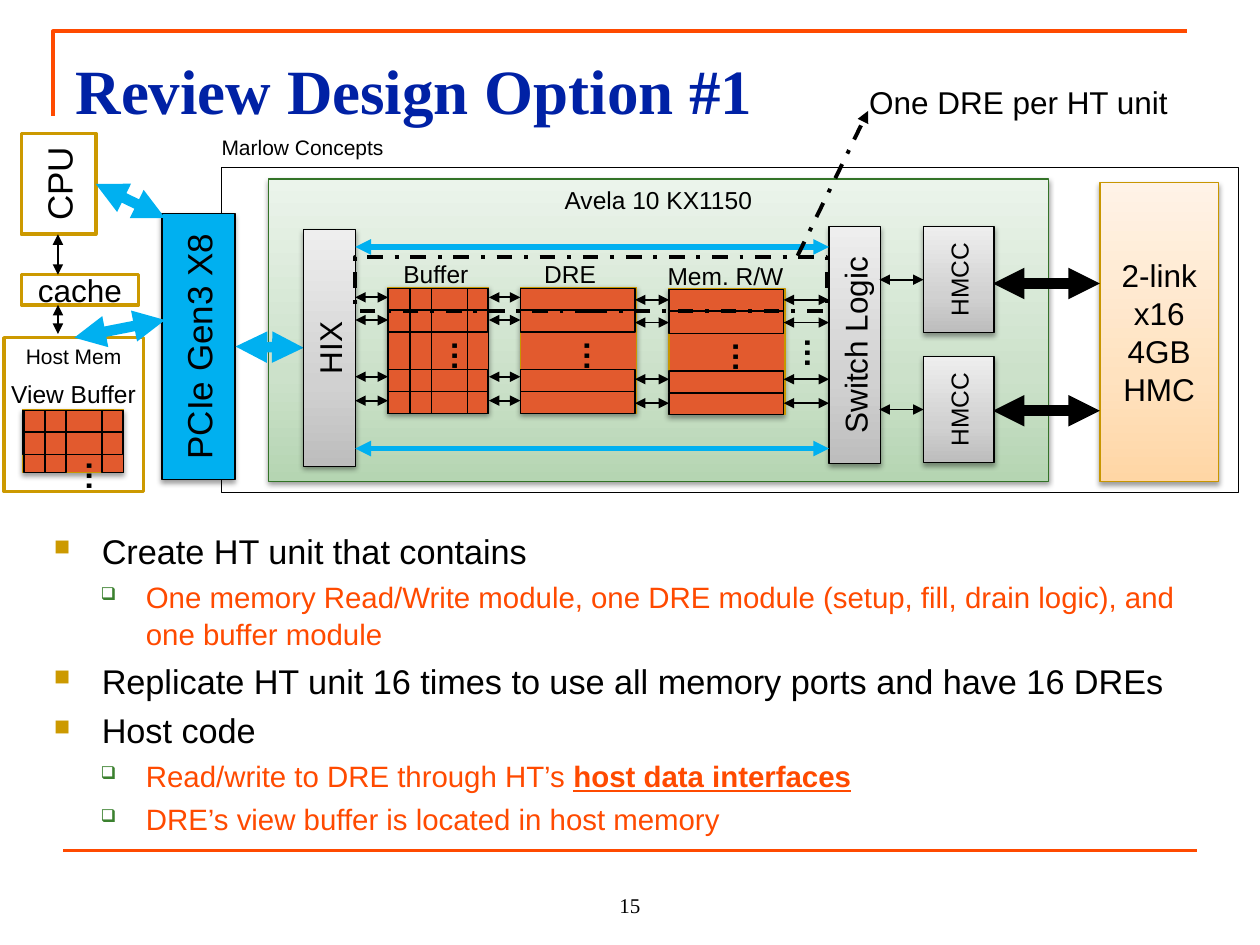
from dataclasses import dataclass

from lxml import etree
from pptx import Presentation
from pptx.dml.color import RGBColor
from pptx.enum.dml import MSO_LINE
from pptx.enum.shapes import MSO_CONNECTOR, MSO_SHAPE
from pptx.enum.text import MSO_ANCHOR, PP_ALIGN
from pptx.oxml.ns import qn
from pptx.util import Inches, Pt

RECTANGLE = MSO_SHAPE.RECTANGLE
STRAIGHT = MSO_CONNECTOR.STRAIGHT
DASH_DOT = MSO_LINE.DASH_DOT
TOP, MIDDLE, BOTTOM = MSO_ANCHOR.TOP, MSO_ANCHOR.MIDDLE, MSO_ANCHOR.BOTTOM
LEFT, CENTER = PP_ALIGN.LEFT, PP_ALIGN.CENTER
TITLE_ONLY = 5
COLUMNS, ROWS = 100, 75


@dataclass(frozen=True)
class Theme:
    """Colours, fonts and type sizes of the deck."""
    black: str = "000000"
    white: str = "FFFFFF"
    accent: str = "FF4A00"
    title: str = "0021A5"
    blue: str = "00B0F0"
    cell: str = "E25A2E"
    gold: str = "C89600"
    host: str = "CC9900"
    forest: str = "337327"
    bullet: str = "3B812F"
    green: tuple = ("B5D5B2", "CCE1CA", "EBF4EB")
    orange: tuple = ("FFD6A5", "FFE2BF", "FFF3E7")
    gray: tuple = ("BDBDBD", "D1D1D1", "EEEEEE")
    sans: str = "Arial"
    serif: str = "Times New Roman"
    heading: float = 36
    body: float = 19.6
    detail: float = 16.8
    big: float = 20
    medium: float = 18
    small: float = 14
    tiny: float = 12


class Canvas:
    """Draws elements on one slide in grid columns and rows."""

    def __init__(self, presentation, theme):
        """Open a title-only slide."""
        self.theme = theme
        self.slide = presentation.slides.add_slide(presentation.slide_layouts[TITLE_ONLY])
        self.shapes = self.slide.shapes
        self.column = presentation.slide_width / COLUMNS
        self.row = presentation.slide_height / ROWS

    def place(self, *lengths):
        """Turn alternating columns and rows into slide units."""
        return [round(length * (self.row if index % 2 else self.column))
                for index, length in enumerate(lengths)]

    def style_line(self, line, color, width, dash=None):
        """Set the colour, width and dash of a line."""
        line.color.rgb = RGBColor.from_string(color)
        line.width = Pt(width)
        if dash:
            line.dash_style = dash

    def style_font(self, font, size, color, name, bold=False):
        """Set the look of a run."""
        font.size, font.name, font.bold = Pt(size), name, bold
        font.color.rgb = RGBColor.from_string(color)

    def caption(self, shape, text, size, align=CENTER, anchor=MIDDLE, vertical=None, bold=False, name=None):
        """Put one formatted paragraph into a shape."""
        frame = shape.text_frame
        frame.text, frame.word_wrap, frame.vertical_anchor = text, True, anchor
        if vertical:
            frame._txBody.bodyPr.set("vert", vertical)
        frame.paragraphs[0].alignment = align
        self.style_font(frame.paragraphs[0].runs[0].font, size, self.theme.black, name or self.theme.sans, bold)

    def title(self, text, box):
        """Move and format the title placeholder."""
        shape = self.shapes.title
        shape.left, shape.top, shape.width, shape.height = self.place(*box)
        self.caption(shape, text, self.theme.heading, LEFT, TOP, None, True, self.theme.serif)
        shape.text_frame.margin_top = self.place(0, 1.1)[1]
        shape.text_frame.paragraphs[0].runs[0].font.color.rgb = RGBColor.from_string(self.theme.title)

    def label(self, text, size, box, align=LEFT, anchor=TOP, **style):
        """Add a text box."""
        self.caption(self.shapes.add_textbox(*self.place(*box)), text, size, align, anchor, **style)

    def box(self, box, fill=None, color=None, width=0.75, shadow=False, dash=None):
        """Add a rectangle with a plain, graded or empty fill."""
        shape = self.shapes.add_shape(RECTANGLE, *self.place(*box))
        shape.shadow.inherit = False
        properties = shape._element.spPr
        if fill is None:
            shape.fill.background()
        elif isinstance(fill, str):
            shape.fill.solid()
            shape.fill.fore_color.rgb = RGBColor.from_string(fill)
        else:
            shape.fill.gradient()
            shape.fill.gradient_angle = 90
            stops = properties.find(qn("a:gradFill")).find(qn("a:gsLst"))
            for stop in list(stops):
                stops.remove(stop)
            for position, stop_color in zip((0, 35000, 100000), fill):
                stop = etree.SubElement(stops, qn("a:gs"), pos=str(position))
                etree.SubElement(stop, qn("a:srgbClr"), val=stop_color)
        self.style_line(shape.line, color or self.theme.black, width, dash)
        if shadow:
            outer = etree.SubElement(properties.find(qn("a:effectLst")), qn("a:outerShdw"),
                                     blurRad=str(Pt(3.1)), dist=str(Pt(1.6)), dir="5400000", rotWithShape="0")
            tint = etree.SubElement(outer, qn("a:srgbClr"), val=self.theme.black)
            etree.SubElement(tint, qn("a:alpha"), val="38000")
        return shape

    def arrow(self, points, color=None, width=1, ends=("headEnd", "tailEnd"), dash=None):
        """Add a straight line with arrowheads at the given ends."""
        connector = self.shapes.add_connector(STRAIGHT, *self.place(*points))
        self.style_line(connector.line, color or self.theme.black, width, dash)
        properties = connector._element.spPr
        for end in ends:
            etree.SubElement(properties.find(qn("a:ln")), qn(f"a:{end}"), type="triangle")
        etree.SubElement(properties, qn("a:effectLst"))

    def corner(self, points):
        """Add an open outline through the points."""
        start, *others = [self.place(*point) for point in points]
        builder = self.shapes.build_freeform(*start)
        builder.add_line_segments(others, close=False)
        shape = builder.convert_to_shape()
        shape.shadow.inherit = False
        shape.fill.background()
        self.style_line(shape.line, self.theme.accent, 2.25)

    def bank(self, left, top, width, height, rows, columns=(), dots=3.25):
        """Add a memory bank with ruled rows, columns and an ellipsis."""
        self.box((left, top, width, height), self.theme.cell, self.theme.gold, shadow=True)
        for offset in rows:
            self.box((left, top + offset, width - 0.1, 1.7))
        for offset in columns:
            self.box((left + offset, top + 0.1, 1.7, height - 0.1))
        self.ellipsis(left + 4.5, top + dots)

    def ellipsis(self, left, top):
        """Add a vertical ellipsis."""
        self.label("…", self.theme.medium, (left, top, 3.6, 4), vertical="vert", bold=True)

    def bullets(self, box, items):
        """Add a two-level list whose items may end in emphasis."""
        theme = self.theme
        levels = ((theme.body, theme.black, "■", theme.host, 65000, 0.38, 0.38, 3.5),
                  (theme.detail, theme.accent, "❑", theme.bullet, 60000, 0.73, 0.36, 3))
        frame = self.shapes.add_textbox(*self.place(*box)).text_frame
        frame.word_wrap = True
        for index, (level, text, emphasis) in enumerate(items):
            size, color, mark, mark_color, mark_size, margin, hang, space = levels[level]
            paragraph = frame.add_paragraph() if index else frame.paragraphs[0]
            paragraph.text, paragraph.level, paragraph.line_spacing = text, level, 1.06
            paragraph.space_before = Pt(space if index else 0)
            properties = paragraph._p.get_or_add_pPr()
            properties.set("marL", str(Inches(margin)))
            properties.set("indent", str(-Inches(hang)))
            tint = etree.SubElement(properties, qn("a:buClr"))
            etree.SubElement(tint, qn("a:srgbClr"), val=mark_color)
            etree.SubElement(properties, qn("a:buSzPct"), val=str(mark_size))
            etree.SubElement(properties, qn("a:buChar"), char=mark)
            if emphasis:
                paragraph.add_run().text = emphasis
            for run in paragraph.runs:
                strong = run.text == emphasis
                self.style_font(run.font, size, color, theme.sans, strong)
                run.font.underline = strong


def draw_board(canvas, theme):
    """Draw the accelerator board and its data paths."""
    canvas.box((17.6, 13.3, 80.7, 25.8))
    link = canvas.box((5.2, 24.6, 21.1, 5.8), theme.blue, shadow=True)
    link.rotation = 270
    canvas.caption(link, "PCIe Gen3 X8", theme.big)
    chip = canvas.box((21.3, 14.2, 61.9, 24), theme.green, theme.forest, shadow=True)
    canvas.caption(chip, "Avela 10 KX1150", theme.small, anchor=TOP)
    canvas.arrow((18.7, 27.5, 24.1, 27.6), theme.blue, 6)
    memory = canvas.box((87.3, 14.5, 9.4, 23.7), theme.orange, theme.gold, shadow=True)
    canvas.caption(memory, "2-link x16 4GB HMC", theme.medium)
    for y in (22.5, 32.6):
        canvas.arrow((78.8, y, 87.3, y), width=6)
    for text, size, box in (("HIX", theme.medium, (24.1, 18.2, 4.1, 18.8)),
                            ("HMCC", theme.small, (73.3, 18, 5.6, 8.4)),
                            ("HMCC", theme.small, (73.3, 28.3, 5.6, 8.4)),
                            ("Switch Logic", theme.medium, (65.8, 18, 4.1, 18.8))):
        canvas.caption(canvas.box(box, theme.gray, shadow=True), text, size, vertical="vert270")
    for y in (19.6, 35.6):
        canvas.arrow((28.2, y, 65.8, y), theme.blue, 3)
    for y in (22.2, 32.5):
        canvas.arrow((69.8, y, 73.3, y))
    rows = (0.1, 1.85, 6.55, 8.3)
    canvas.bank(53.1, 22.9, 9.2, 10, rows)
    canvas.bank(41.3, 22.8, 9.2, 10, rows)
    canvas.bank(30.8, 22.8, 8, 10, rows, (0, 1.75, 6.3))
    canvas.ellipsis(63.3, 25.8)
    for start, end, top in ((62.2, 65.8, 23.8), (50.4, 53.1, 23.8), (38.8, 41.3, 23.6), (28.2, 30.8, 23.6)):
        for offset in (0, 1.8, 6.3, 8.2):
            canvas.arrow((start, top + offset, end, top + offset))
    canvas.label("Mem. R/W", theme.small, (52, 20.2, 13.6, 3.4))
    canvas.label("DRE", theme.small, (42.2, 20.1, 7.7, 3.4))
    canvas.label("Buffer", theme.small, (30.6, 20.1, 8, 3.4), CENTER)
    canvas.label("Marlow Concepts", theme.tiny, (16.6, 10.2, 15.9, 3))
    canvas.box((28.2, 20.4, 37.4, 4.3), width=2.25, dash=DASH_DOT)
    canvas.arrow((63.3, 20.3, 68.9, 8.8), width=2.25, ends=("tailEnd",), dash=DASH_DOT)
    canvas.label("One DRE per HT unit", theme.medium, (68, 6.1, 30.4, 4))


def draw_host(canvas, theme):
    """Draw the host processor, cache and memory."""
    for text, size, box, anchor, vertical in (
            ("CPU", theme.big, (1.7, 10.6, 5.9, 8), MIDDLE, "vert270"),
            ("cache", theme.medium, (1.7, 21.8, 9.3, 2.4), MIDDLE, None),
            ("Host Mem", theme.tiny, (0.3, 26.8, 11.1, 12.2), TOP, None)):
        canvas.caption(canvas.box(box, theme.white, theme.host, 2), text, size, CENTER, anchor, vertical)
    canvas.bank(1.8, 32.5, 8, 5, (0.1, 1.85), (0.1, 1.75, 6.3), 3.1)
    canvas.label("View Buffer", theme.small, (-0.1, 29.6, 13.5, 3.4))
    for start, end in ((18.6, 21.8), (24.2, 26.5)):
        canvas.arrow((4.6, start, 4.6, end), width=0.75)
    canvas.arrow((7.6, 14.6, 13.1, 17.3), theme.blue, 6)
    canvas.arrow((5.9, 26.8, 13.1, 25.4), theme.blue, 6)


def main():
    """Build and save the slide."""
    presentation = Presentation()
    presentation.slide_width, presentation.slide_height = Inches(10), Inches(7.5)
    theme = Theme()
    canvas = Canvas(presentation, theme)
    canvas.corner(((4.2, 9.2), (4.2, 2.5), (94.2, 2.5)))
    canvas.arrow((5, 67.5, 95, 67.5), theme.accent, 2.25, ends=())
    canvas.title("Review Design Option #1", (5, 3, 90, 10.3))
    canvas.bullets((3.3, 41.4, 93.3, 25.6), (
        (0, "Create HT unit that contains", ""),
        (1, "One memory Read/Write module, one DRE module (setup, fill, drain logic), and one buffer module", ""),
        (0, "Replicate HT unit 16 times to use all memory ports and have 16 DREs", ""),
        (0, "Host code", ""),
        (1, "Read/write to DRE through HT’s ", "host data interfaces"),
        (1, "DRE’s view buffer is located in host memory", "")))
    canvas.label("15", theme.tiny, (40, 68.3, 20, 5), CENTER, BOTTOM, name=theme.serif)
    draw_board(canvas, theme)
    draw_host(canvas, theme)
    presentation.save("out.pptx")


if __name__ == "__main__":
    main()
